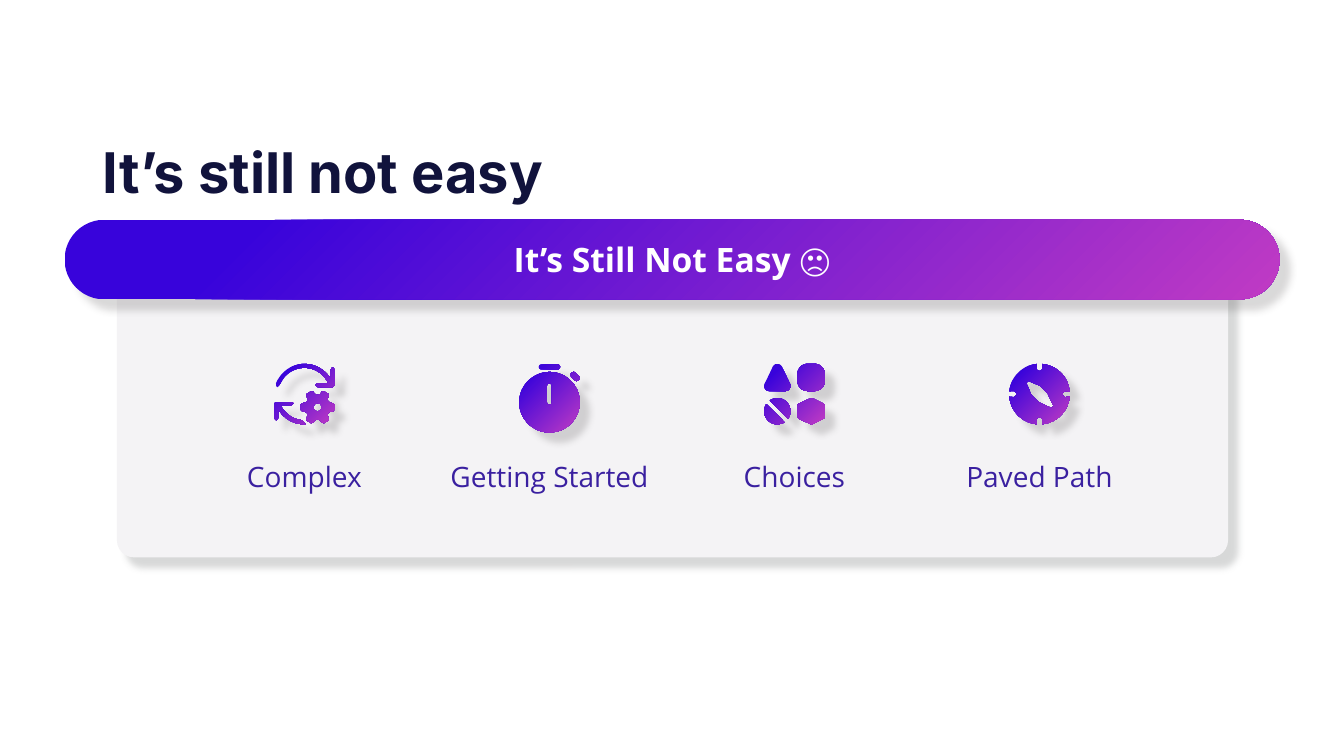
import math

import pptx
import pptx.util
from pptx.dml.color import RGBColor
from pptx.enum.shapes import MSO_SHAPE
from pptx.enum.text import MSO_ANCHOR, PP_ALIGN
from pptx.oxml import parse_xml
from pptx.oxml.ns import nsdecls, qn

Inches = pptx.util.Inches
COLOURS = {
    "navy": "11133C", "indigo": "3A20A0", "violet": "3803DB", "magenta": "C03BC4",
    "panel": "F4F3F5", "white": "FFFFFF", "panel shadow": "B1B3B3", "dark shadow": "454142",
}


def arc(x, y, radius, start, end):
    """Points along an arc, angles in degrees, clockwise from the right."""
    steps = max(2, math.ceil(abs(end - start) / 6))
    angles = [math.radians(start + (end - start) * i / steps) for i in range(steps + 1)]
    return [(x + radius * math.cos(a), y + radius * math.sin(a)) for a in angles]


def rounded(radius, *centres):
    """Outline around clockwise corner centres, each corner an arc."""
    points = []
    for i, (x, y) in enumerate(centres):
        before, after = centres[i - 1], centres[(i + 1) % len(centres)]
        start = math.degrees(math.atan2(y - before[1], x - before[0])) - 90
        end = math.degrees(math.atan2(after[1] - y, after[0] - x)) - 90
        points += arc(x, y, radius, start, start + (end - start) % 360)
    return points


prs = pptx.Presentation()
prs.slide_width, prs.slide_height = Inches(13.33), Inches(7.5)
slide = prs.slides.add_slide(prs.slide_layouts[6])
shapes = slide.shapes

# Panel behind the four topics
panel = shapes.add_shape(MSO_SHAPE.ROUNDED_RECTANGLE,
                         Inches(1.16), Inches(2.6), Inches(11.02), Inches(2.93))
panel.adjustments[0] = 0.058
panel.fill.solid()
panel.fill.fore_color.rgb = RGBColor.from_string(COLOURS["panel"])

# Icon outlines, in inches from the icon centre
upper_arrow = [
    (0.13, -0.07), (0.11, -0.09), (0.13, -0.11), *arc(0, 0, 0.26, -25, -155),
    (-0.25, -0.09), (-0.27, -0.07), (-0.28, -0.09), *arc(0, 0, 0.3, -160, -30),
    (0.26, -0.24), (0.27, -0.26), (0.29, -0.26), (0.3, -0.24), (0.3, -0.09), (0.28, -0.07),
]
lower_arrow = [
    (-0.26, 0.24), (-0.28, 0.26), (-0.3, 0.24), (-0.3, 0.09), (-0.28, 0.08),
    (-0.13, 0.08), (-0.11, 0.09), (-0.13, 0.11),
    *arc(0, 0, 0.26, 155, 95), *arc(0, 0, 0.3, 88, 150),
]
gear = []
for tooth in range(0, 360, 60):
    for radius, turn in ((0.17, -8), (0.17, 8), (0.16, 14), (0.13, 20), (0.12, 30), (0.13, 40), (0.16, 46)):
        angle = math.radians(tooth + turn)
        gear.append((0.13 + radius * math.cos(angle), 0.13 + radius * math.sin(angle)))

dial = []
for notch in range(0, 360, 90):
    angle = math.radians(notch)
    dial += arc(0.26 * math.cos(angle), 0.26 * math.sin(angle), 0.03, notch - 90, notch - 270)
    dial += arc(0, 0, 0.3, notch + 5, notch + 85)
needle = [(-0.13, -0.11), (-0.11, -0.13), (0.01, -0.08), (0.08, -0.01),
          (0.14, 0.12), (0.12, 0.14), (-0.01, 0.08), (-0.08, 0.01)]

topics = [
    ("Complex", 2, [upper_arrow, lower_arrow, gear, arc(0.13, 0.13, 0.04, 0, 360)]),
    ("Getting Started", 2.41, [
        arc(0, 0.08, 0.3, 0, 360),
        rounded(0.025, (0, -0.08), (0, 0.08)),
        rounded(0.025, (-0.08, -0.27), (0.08, -0.27)),
        rounded(0.03, (0.24, -0.19), (0.27, -0.16)),
    ]),
    ("Choices", 2, [
        rounded(0.05, (-0.17, -0.25), (-0.09, -0.08), (-0.25, -0.08)),
        rounded(0.1, (0.13, -0.2), (0.2, -0.2), (0.2, -0.13), (0.13, -0.13)),
        arc(-0.17, 0.17, 0.13, -125, 35),
        arc(-0.17, 0.17, 0.13, 57, 213),
        rounded(0.03, (0.17, 0.07), (0.27, 0.12), (0.27, 0.22),
                (0.17, 0.27), (0.06, 0.22), (0.06, 0.12)),
    ]),
    ("Paved Path", 2.2, [dial, needle]),
]

# Topics: a label and an icon in each column
texts = []
gradient_parts = []
for column, (topic, width, outlines) in enumerate(topics):
    centre_x, centre_y = 3.02 + 2.43 * column, 3.91
    label = shapes.add_textbox(Inches(centre_x - width / 2), Inches(4.51), Inches(width), Inches(0.44))
    texts.append((label, topic, "indigo", PP_ALIGN.CENTER, MSO_ANCHOR.TOP,
                  {"size": pptx.util.Pt(20), "name": "Open Sans", "bold": False}))
    icon = None
    for outline in outlines:
        points = [(Inches(centre_x + x), Inches(centre_y + y)) for x, y in outline]
        if icon is None:
            icon = shapes.build_freeform(*points[0])
        else:
            icon.move_to(*points[0])
        icon.add_line_segments(points[1:], close=True)
    gradient_parts.append(icon.convert_to_shape())

# Banner and title
banner = shapes.add_shape(MSO_SHAPE.ROUNDED_RECTANGLE,
                          Inches(0.64), Inches(2.18), Inches(12.05), Inches(0.79))
banner.adjustments[0] = 0.5
gradient_parts.append(banner)
for side in ("left", "top", "right", "bottom"):
    setattr(banner.text_frame, f"margin_{side}", 0)
title = shapes.add_textbox(Inches(0.92), Inches(0.8), Inches(11.5), Inches(1.29))
texts += [
    (banner, "It’s Still Not Easy 🙁", "white", PP_ALIGN.CENTER, MSO_ANCHOR.MIDDLE,
     {"size": pptx.util.Pt(24), "name": "Open Sans", "bold": True}),
    (title, "It’s still not easy", "navy", PP_ALIGN.LEFT, MSO_ANCHOR.BOTTOM,
     {"size": pptx.util.Pt(40), "name": "Inter", "bold": True}),
]

# Text and its format
for holder, wording, colour, alignment, anchor, font_format in texts:
    frame = holder.text_frame
    frame.word_wrap = True
    frame.vertical_anchor = anchor
    paragraph = frame.paragraphs[0]
    paragraph.alignment = alignment
    run = paragraph.add_run()
    run.text = wording
    for attribute, value in font_format.items():
        setattr(run.font, attribute, value)
    run.font.color.rgb = RGBColor.from_string(COLOURS[colour])
title.text_frame.paragraphs[0].line_spacing = 0.9

# Radial gradient from the lower right corner
for part in gradient_parts:
    part.fill.gradient()
    for stop, position, colour in zip(part.fill.gradient_stops, (0, 0.85), ("magenta", "violet")):
        stop.position = position
        stop.color.rgb = RGBColor.from_string(COLOURS[colour])
    gradient = part.element.spPr.find(qn("a:gradFill"))
    gradient.replace(gradient.find(qn("a:lin")), parse_xml(
        f'<a:path {nsdecls("a")} path="circle"><a:fillToRect l="100000" t="100000"/></a:path>'))

# Soft shadows to the lower right
shadows = [(panel, "panel shadow", 50)] + [(part, "dark shadow", 20) for part in gradient_parts]
for part, colour, opacity in shadows:
    part.line.fill.background()
    part.shadow.inherit = False
    part.element.spPr.find(qn("a:effectLst")).append(parse_xml(
        f'<a:outerShdw {nsdecls("a")} blurRad="{pptx.util.Pt(5)}" dist="{pptx.util.Pt(10)}" '
        f'dir="2700000" algn="tl" rotWithShape="0"><a:srgbClr val="{COLOURS[colour]}">'
        f'<a:alpha val="{opacity * 1000}"/></a:srgbClr></a:outerShdw>'))

prs.save("out.pptx")
